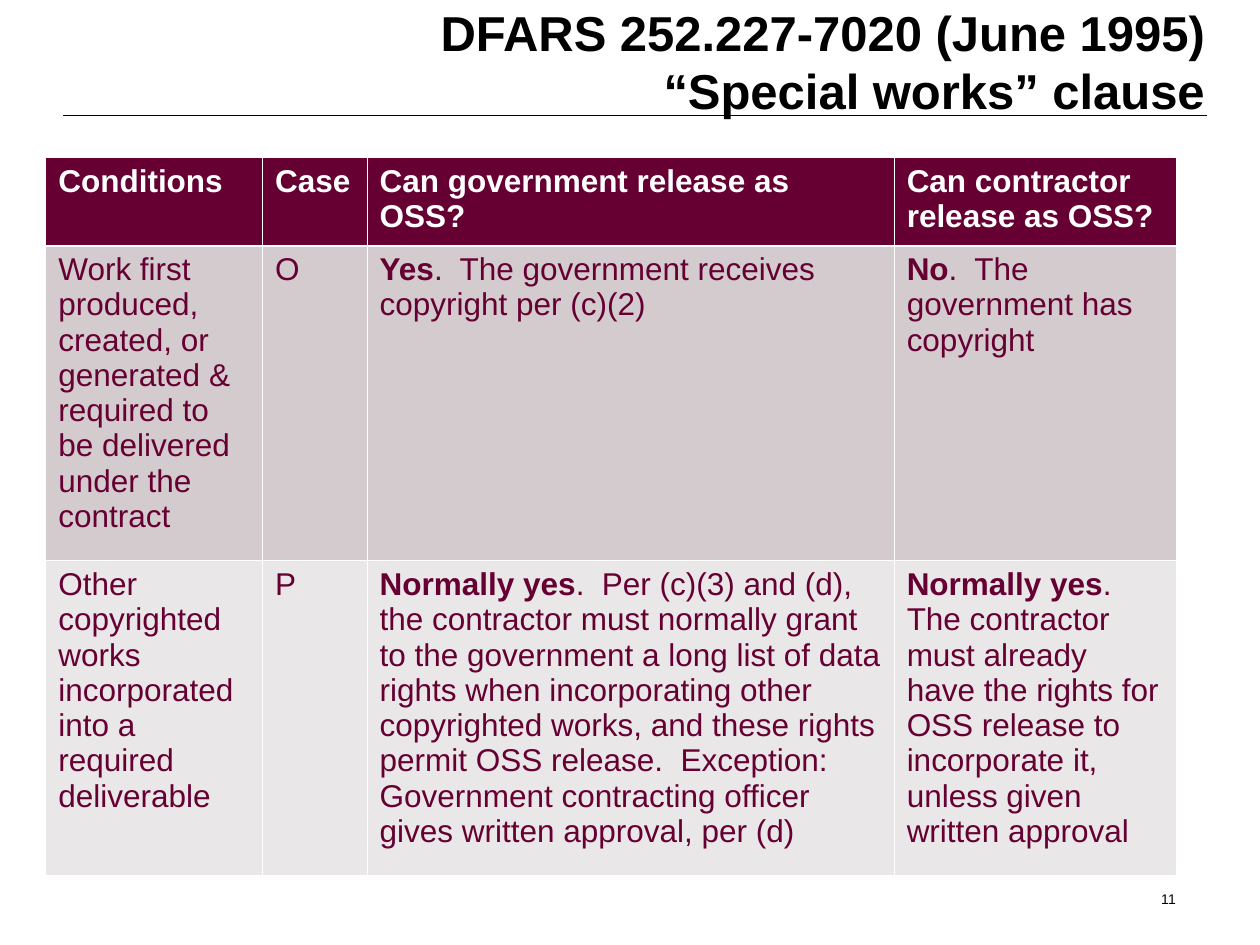
from typing import NamedTuple

import pptx
import pptx.dml.color
import pptx.enum.shapes
import pptx.enum.text
import pptx.oxml.ns
import pptx.util
from lxml import etree

Pt = pptx.util.Pt
ALIGN = pptx.enum.text.PP_ALIGN
COLORS = {
    "black": "000000",
    "white": "FFFFFF",
    "maroon": "660033",
    "dark_band": "D3CBCD",
    "light_band": "EAE7E8",
}
FONT = "Arial"
COLUMN_WIDTHS = (123.84, 59.76, 301.2, 161.2)
THIN, THICK = 0.45, 1.47


class Cell(NamedTuple):
    text: str
    lead: str = ""  # bold opening words


class Row(NamedTuple):
    height: float
    fill: str
    color: str
    bold: bool
    top: float
    bottom: float
    cells: tuple[Cell, ...]


class Label(NamedTuple):
    text: str
    left: float
    top: float
    width: float
    height: float
    size: float
    bold: bool


ROWS = (
    Row(50.4, "maroon", "white", True, THIN, THICK, (
        Cell("Conditions"),
        Cell("Case"),
        Cell("Can government release as OSS?"),
        Cell("Can contractor release as OSS?"),
    )),
    Row(180, "dark_band", "maroon", False, THICK, THIN, (
        Cell("Work first produced, created, or generated & required to be "
             "delivered under the contract"),
        Cell("O"),
        Cell(".  The government receives copyright per (c)(2)", "Yes"),
        Cell(".  The government has copyright", "No"),
    )),
    Row(180, "light_band", "maroon", False, THIN, THIN, (
        Cell("Other copyrighted works incorporated into a required deliverable"),
        Cell("P"),
        Cell(".  Per (c)(3) and (d), the contractor must normally grant to the "
             "government a long list of data rights when incorporating other "
             "copyrighted works, and these rights permit OSS release.  Exception: "
             "Government contracting officer gives written approval, per (d)",
             "Normally yes"),
        Cell(".  The contractor must already have the rights for OSS release to "
             "incorporate it, unless given written approval", "Normally yes"),
    )),
)
LABELS = (
    Label("DFARS 252.227-7020 (June 1995) “Special works” clause",
          203.76, -2.88, 491.76, 74.88, 28, True),
    Label("11", 529.2, 486, 149.76, 36, 8, False),
)


def rgb(name: str) -> pptx.dml.color.RGBColor:
    return pptx.dml.color.RGBColor.from_string(COLORS[name])


def add_run(p, text: str, size: float, color: str, bold: bool) -> None:
    r = p.add_run()
    r.text = text
    r.font.name = FONT
    r.font.size = Pt(size)
    r.font.bold = bold
    r.font.color.rgb = rgb(color)


def add_label(slide, label: Label) -> None:
    """Add a right-aligned text box whose text rests on its bottom edge."""
    sp = slide.shapes.add_textbox(Pt(label.left), Pt(label.top),
                                  Pt(label.width), Pt(label.height))
    tf = sp.text_frame
    tf.word_wrap = True
    tf.vertical_anchor = pptx.enum.text.MSO_ANCHOR.BOTTOM
    p = tf.paragraphs[0]
    p.alignment = ALIGN.RIGHT
    add_run(p, label.text, label.size, "black", label.bold)


def add_title_rule(slide) -> None:
    line = slide.shapes.add_connector(pptx.enum.shapes.MSO_CONNECTOR.STRAIGHT,
                                      Pt(36), Pt(66), Pt(690), Pt(66))
    line.line.color.rgb = rgb("black")
    line.line.width = Pt(0.75)
    etree.SubElement(line._element.spPr, pptx.oxml.ns.qn("a:effectLst"))


def set_borders(cell, top: float, bottom: float) -> None:
    """Give a cell white borders; call it before filling, as XML order matters."""
    qn = pptx.oxml.ns.qn
    tc_pr = cell._tc.get_or_add_tcPr()
    widths = {"L": THIN, "R": THIN, "T": top, "B": bottom}
    for side, width in widths.items():
        ln = etree.SubElement(tc_pr, qn(f"a:ln{side}"), w=str(int(Pt(width))))
        fill = etree.SubElement(ln, qn("a:solidFill"))
        etree.SubElement(fill, qn("a:srgbClr"), val=COLORS["white"])


def add_release_table(slide) -> None:
    table = slide.shapes.add_table(
        len(ROWS), len(COLUMN_WIDTHS), Pt(26.2), Pt(90),
        Pt(sum(COLUMN_WIDTHS)), Pt(sum(row.height for row in ROWS))).table
    for column, width in zip(table.columns, COLUMN_WIDTHS):
        column.width = Pt(width)
    for i, row in enumerate(ROWS):
        table.rows[i].height = Pt(row.height)
        for j, content in enumerate(row.cells):
            cell = table.cell(i, j)
            set_borders(cell, row.top, row.bottom)
            cell.fill.solid()
            cell.fill.fore_color.rgb = rgb(row.fill)
            p = cell.text_frame.paragraphs[0]
            if content.lead:
                add_run(p, content.lead, 18, row.color, True)
            add_run(p, content.text, 18, row.color, row.bold)


def main() -> None:
    prs = pptx.Presentation()
    prs.slide_width, prs.slide_height = Pt(720), Pt(540)
    slide = prs.slides.add_slide(prs.slide_layouts[6])
    add_title_rule(slide)
    add_release_table(slide)
    for label in LABELS:
        add_label(slide, label)
    prs.save("out.pptx")


if __name__ == "__main__":
    main()
